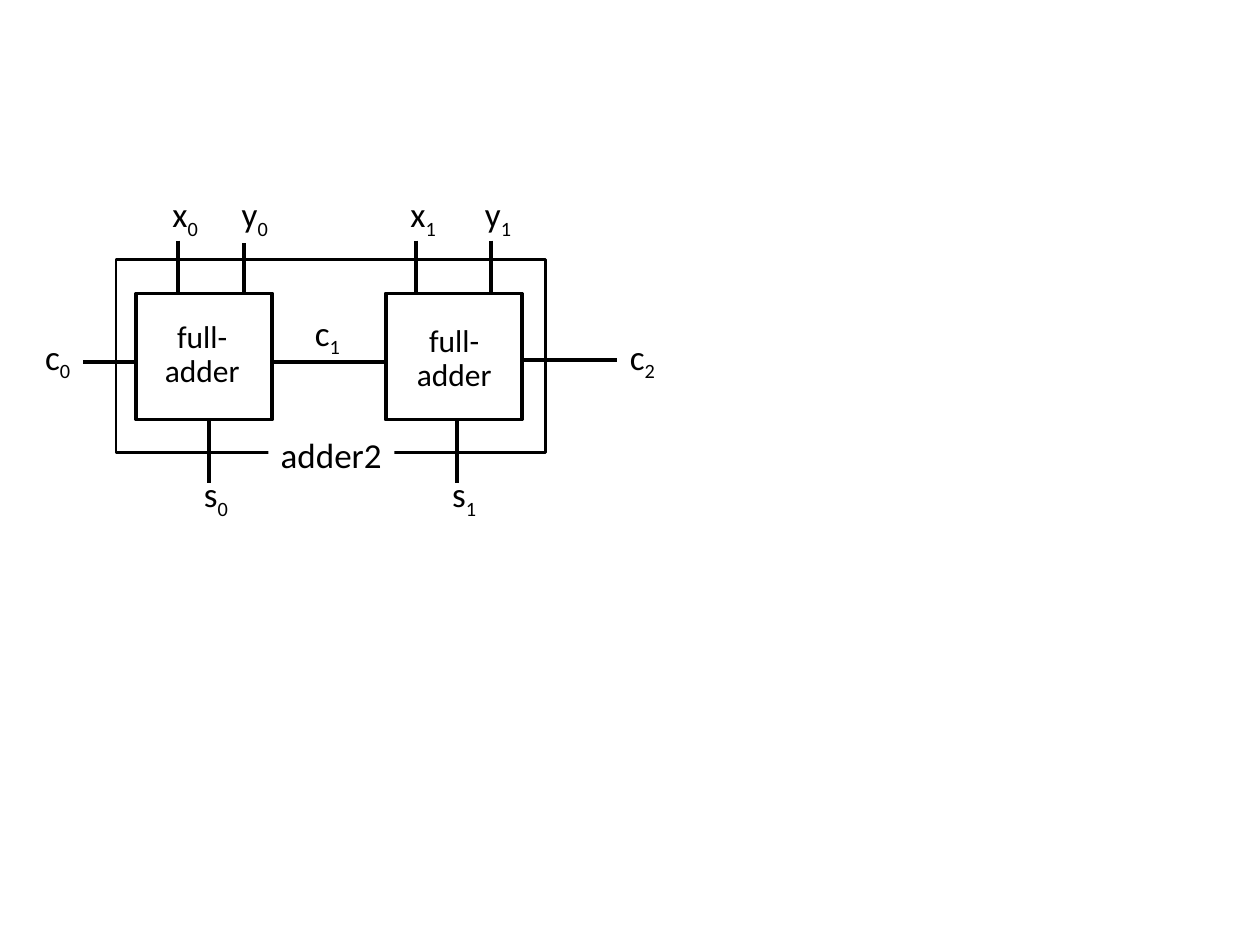
from dataclasses import dataclass

from lxml import etree
from pptx import Presentation
from pptx.dml.color import RGBColor
from pptx.enum import shapes, text
from pptx.oxml import ns
from pptx.util import Inches, Pt


@dataclass(frozen=True)
class Theme:
    font: str = "Calibri"
    ink: RGBColor = RGBColor(0, 0, 0)
    paper: RGBColor = RGBColor(255, 255, 255)
    label_size: float = 20
    block_size: float = 18
    wire: float = 2.25
    frame: float = 1.5


theme = Theme()
prs = Presentation()
prs.slide_width, prs.slide_height = Inches(10), Inches(7.5)
s = prs.slides.add_slide(prs.slide_layouts[6])


def add_rect(parent, left, top, width, height, fill=None, line=None):
    sp = parent.add_shape(shapes.MSO_SHAPE.RECTANGLE, Inches(left), Inches(top),
                          Inches(width), Inches(height))
    sp.shadow.inherit = False
    if fill is None:
        sp.fill.background()
    else:
        sp.fill.solid()
        sp.fill.fore_color.rgb = fill
    if line is None:
        sp.line.fill.background()
    else:
        sp.line.color.rgb = theme.ink
        sp.line.width = Pt(line)
    return sp


def write(sp, lines, size, align=text.PP_ALIGN.LEFT, spacing=None):
    """Each line is a list of (text, is_subscript) runs."""
    tf = sp.text_frame
    tf.word_wrap = False
    tf.auto_size = text.MSO_AUTO_SIZE.SHAPE_TO_FIT_TEXT
    tf.vertical_anchor = text.MSO_ANCHOR.TOP
    for i, runs in enumerate(lines):
        p = tf.paragraphs[0] if i == 0 else tf.add_paragraph()
        p.alignment = align
        p.line_spacing = spacing
        for content, subscript in runs:
            r = p.add_run()
            r.text = content
            r.font.name = theme.font
            r.font.size = Pt(size)
            r.font.color.rgb = theme.ink
            if subscript:
                r._r.get_or_add_rPr().set("baseline", "-25000")


# Wires: carry chain, inputs x and y, sums
wires = [
    (0.66, 2.87, 1.16, 2.87), (2.15, 2.87, 3.14, 2.87), (4.13, 2.86, 4.9, 2.86),
    (1.41, 1.91, 1.41, 2.41), (1.94, 1.93, 1.94, 2.43),
    (3.3, 1.91, 3.3, 2.41), (3.9, 1.91, 3.9, 2.41),
    (1.66, 3.83, 1.66, 3.33), (3.63, 3.83, 3.63, 3.33),
]
for wire in wires:
    cxn = s.shapes.add_connector(shapes.MSO_CONNECTOR.STRAIGHT, *map(Inches, wire))
    cxn.line.color.rgb = theme.ink
    cxn.line.width = Pt(theme.wire)
    etree.SubElement(cxn._element.spPr, ns.qn("a:effectLst"))

# Signal labels
labels = [
    ("c", "0", 0.26, 2.61, 0.4), ("c", "1", 2.4, 2.42, 0.4), ("c", "2", 4.9, 2.61, 0.4),
    ("x", "0", 1.27, 1.48, 0.4), ("y", "0", 1.82, 1.48, 0.41),
    ("x", "1", 3.16, 1.48, 0.4), ("y", "1", 3.75, 1.48, 0.41),
    ("s", "0", 1.52, 3.7, 0.39), ("s", "1", 3.49, 3.7, 0.39),
]
for name, index, left, top, width in labels:
    sp = s.shapes.add_textbox(Inches(left), Inches(top), Inches(width), Inches(0.48))
    write(sp, [[(name, False), (index, True)]], theme.label_size)

# Full-adder blocks
for left, text_left, text_top in [(1.08, 1.19, 2.5), (3.06, 3.19, 2.53)]:
    add_rect(s.shapes, left, 2.33, 1.08, 1, theme.paper, theme.wire)
    sp = s.shapes.add_textbox(Inches(text_left), Inches(text_top), Inches(0.83), Inches(0.64))
    write(sp, [[("full-", False)], [("adder", False)]], theme.block_size,
          text.PP_ALIGN.CENTER, 0.9)

# Enclosing adder2 frame with its name set into the lower edge
frame = s.shapes.add_group_shape()
add_rect(frame.shapes, 0.92, 2.06, 3.41, 1.53, line=theme.frame)
name_box = add_rect(frame.shapes, 2.13, 3.39, 1, 0.44, theme.paper)
write(name_box, [[("adder2", False)]], theme.label_size)

prs.save("out.pptx")
